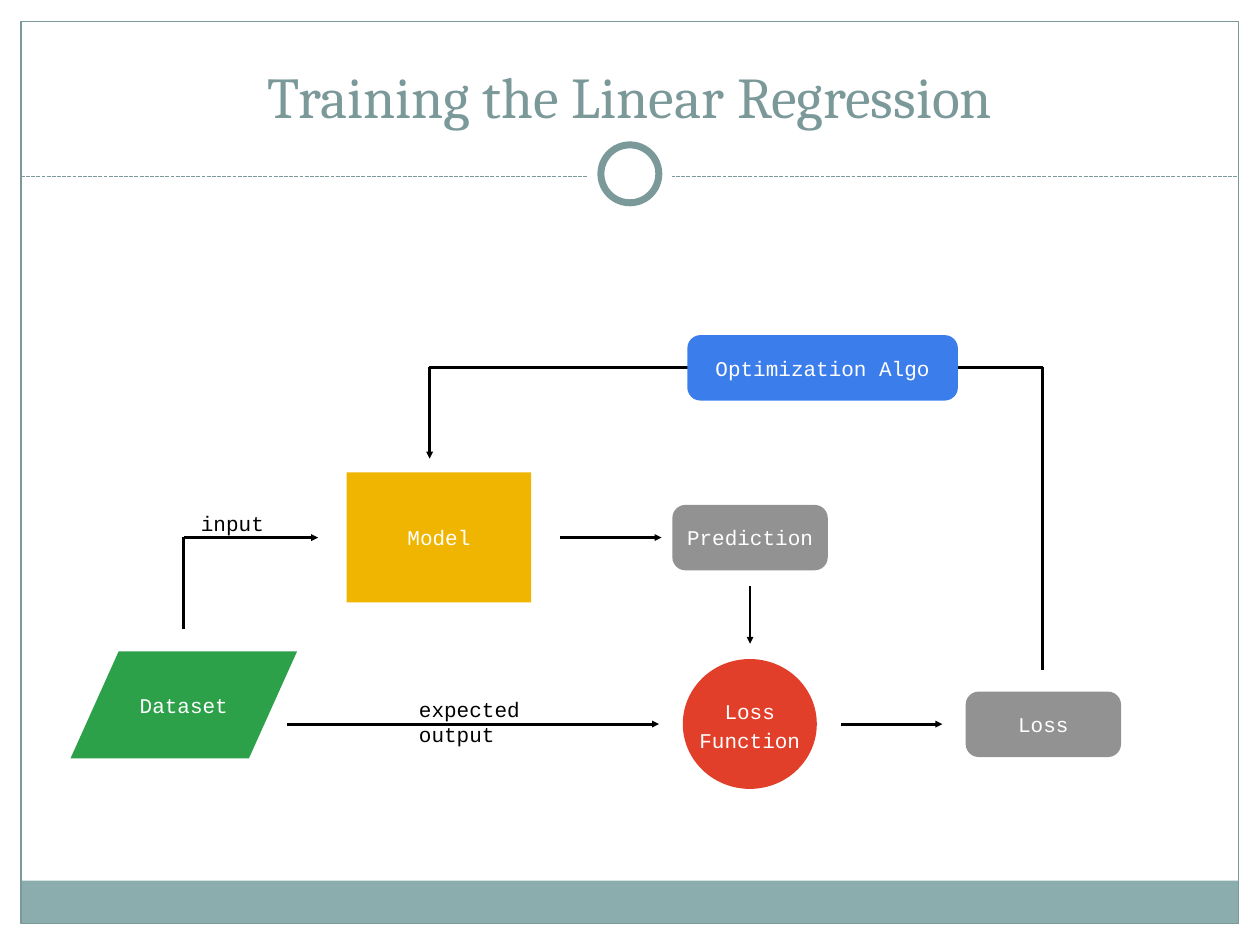
from pptx import Presentation
from pptx.dml.color import RGBColor
from pptx.enum.dml import MSO_LINE
from pptx.enum.shapes import MSO_CONNECTOR, MSO_SHAPE as Form
from pptx.enum.text import MSO_ANCHOR as Anchor, PP_ALIGN as Align
from pptx.oxml.ns import qn
from pptx.util import Pt
from lxml.etree import SubElement

TEAL, BLACK, WHITE, GREY = "7C999A", "000000", "FFFFFF", "929292"


def color(code):
    return RGBColor.from_string(code)


def write(box, text, font, size, code, align, anchor, spacing=1.0):
    frame = box.text_frame
    settings = {"word_wrap": False, "vertical_anchor": anchor, "margin_left": 0,
                "margin_right": 0, "margin_top": 0, "margin_bottom": 0}
    for name, value in settings.items():
        setattr(frame, name, value)
    para = frame.paragraphs[0]
    para.text = text
    para.alignment = align
    para.line_spacing = spacing
    for span in para.runs:
        for name, value in {"name": font, "size": Pt(size)}.items():
            setattr(span.font, name, value)
        span.font.color.rgb = color(code)


deck = Presentation()
deck.slide_width, deck.slide_height = Pt(720), Pt(540)
page = deck.slides.add_slide(deck.slide_layouts[6])

strokes = [
    (12, 100.8, 708, 100.8, TEAL, 0.75, False),
    (104.9, 359.3, 104.9, 306.6, BLACK, 1.65, False),
    (104.9, 307.2, 181.8, 307.2, BLACK, 1.65, True),
    (320, 307.2, 378, 307.2, BLACK, 1.65, True),
    (164, 413.8, 376.6, 413.8, BLACK, 1.65, True),
    (428.6, 334.8, 428.6, 367.9, BLACK, 1.65, True),
    (480.5, 413.8, 538.5, 413.8, BLACK, 1.65, True),
    (595.5, 383, 595.5, 210, BLACK, 1.65, False),
    (596, 210, 245, 210, BLACK, 1.65, False),
    (245.5, 209.5, 245.5, 262.1, BLACK, 1.65, True),
]
for x1, y1, x2, y2, code, weight, arrow in strokes:
    stroke = page.shapes.add_connector(
        MSO_CONNECTOR.STRAIGHT, Pt(x1), Pt(y1), Pt(x2), Pt(y2))
    stroke.line.color.rgb = color(code)
    stroke.line.width = Pt(weight)
    if arrow:
        SubElement(stroke.line._get_or_add_ln(), qn("a:tailEnd"),
                   type="triangle", w="sm", len="sm")
    elif code == TEAL:
        stroke.line.dash_style = MSO_LINE.SQUARE_DOT
    SubElement(stroke._element.spPr, qn("a:effectLst"))

forms = [
    (Form.RECTANGLE, 11.9, 503.3, 696, 24.5, "8CADAE", 0, None, ""),
    (Form.RECTANGLE, 12, 12.2, 695.8, 515.5, None, 0.75, None, ""),
    (Form.OVAL, 336, 75.6, 48, 48, WHITE, 0, None, ""),
    (Form.OVAL, 343.4, 82.8, 33.1, 33.1, WHITE, 4, None, ""),
    (Form.RECTANGLE, 198, 270, 105.6, 74.2, "F0B500", 0, None, "Model"),
    (Form.PARALLELOGRAM, 40.3, 372.2, 129.5, 61.2, "2CA14A", 0, 0.45, "Dataset"),
    (Form.ROUNDED_RECTANGLE, 384.2, 288.5, 88.8, 37.4, GREY, 0, 0.2, "Prediction"),
    (Form.OVAL, 390.2, 376.6, 76.6, 74.2, "E23F2A", 0, None, "Loss\vFunction"),
    (Form.ROUNDED_RECTANGLE, 551.8, 395.2, 88.8, 37.4, GREY, 0, 0.2, "Loss"),
    (Form.ROUNDED_RECTANGLE, 392.8, 191.5, 154.6, 37.4, "3C7DEC", 0, 0.2,
     "Optimization Algo"),
]
for form, left, top, width, height, code, weight, bend, text in forms:
    shape = page.shapes.add_shape(form, Pt(left), Pt(top), Pt(width), Pt(height))
    shape.shadow.inherit = False
    if code:
        shape.fill.solid()
        shape.fill.fore_color.rgb = color(code)
    else:
        shape.fill.background()
    if weight:
        shape.line.color.rgb = color(TEAL)
        shape.line.width = Pt(weight)
    else:
        shape.line.fill.background()
    if bend:
        shape.adjustments[0] = bend
    if text:
        write(shape, text, "Courier New", 12, WHITE, Align.CENTER, Anchor.MIDDLE,
              1.14 if "\v" in text else 1.0)

labels = [
    ("input", 114.8, 291.6, 63.4, 15.1, "Courier New", 12, BLACK, Align.LEFT, Anchor.TOP),
    ("expected output", 239.4, 398, 82, 29.5, "Courier New", 12, BLACK,
     Align.LEFT, Anchor.TOP),
    ("Training the Linear Regression", 24, 18, 672, 56.2, "Cambria", 33, TEAL,
     Align.CENTER, Anchor.BOTTOM),
]
for text, left, top, width, height, *style in labels:
    box = page.shapes.add_textbox(Pt(left), Pt(top), Pt(width), Pt(height))
    write(box, text, *style)
    box.text_frame.word_wrap = True

deck.save("out.pptx")
